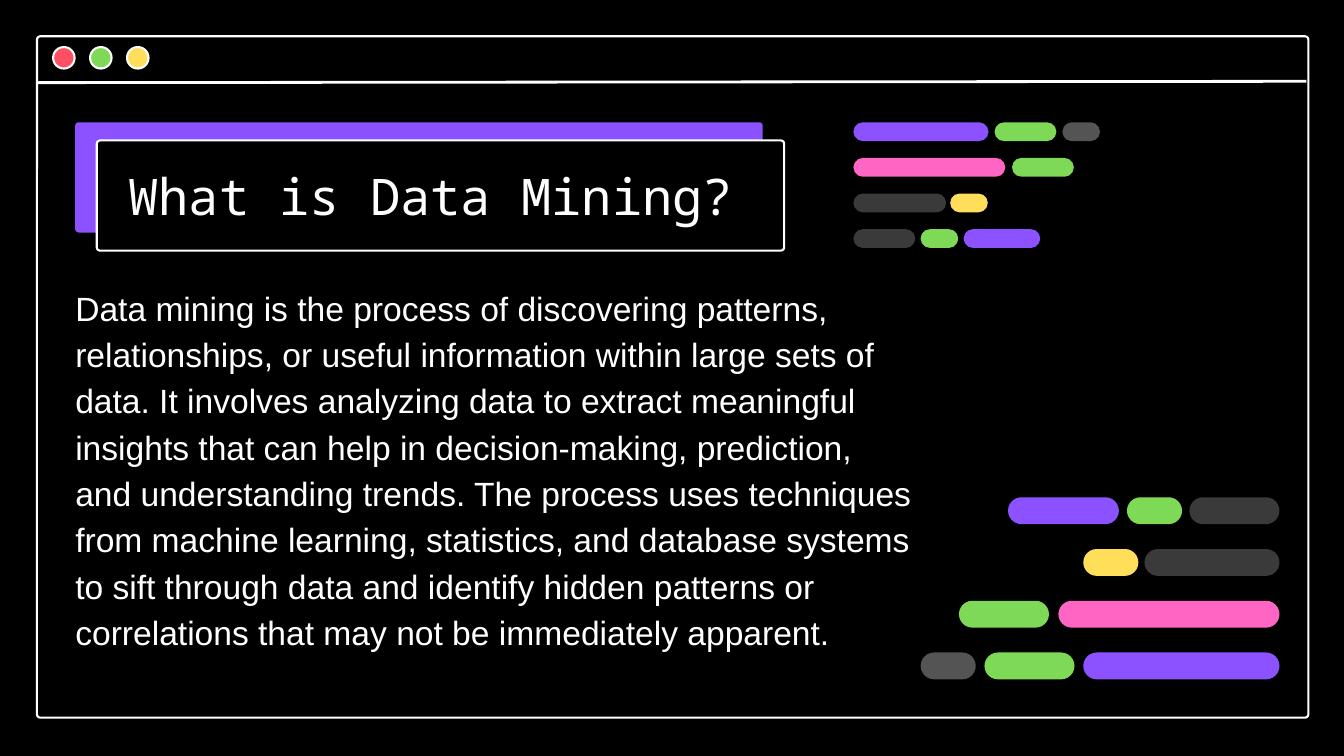
from pptx import Presentation
from pptx import util as u
from pptx.dml.color import RGBColor
from pptx.enum import shapes, text
from pptx.oxml.ns import qn
from lxml import etree

PX = 9144
BLACK = RGBColor(0x00, 0x00, 0x00)
WHITE = RGBColor(0xFF, 0xFF, 0xFF)
RED = RGBColor(0xFF, 0x4F, 0x63)
GREEN = RGBColor(0x7E, 0xD9, 0x57)
YELLOW = RGBColor(0xFF, 0xDE, 0x59)
PURPLE = RGBColor(0x8C, 0x52, 0xFF)
PINK = RGBColor(0xFF, 0x66, 0xC4)
DARK = RGBColor(0x3B, 0x3A, 0x3A)
GREY = RGBColor(0x54, 0x54, 0x54)

KIND = shapes.MSO_SHAPE
TITLE = "What is Data Mining?"
BODY = (
    "Data mining is the process of discovering patterns, relationships, or "
    "useful information within large sets of data. It involves analyzing data "
    "to extract meaningful insights that can help in decision-making, "
    "prediction, and understanding trends. The process uses techniques from "
    "machine learning, statistics, and database systems to sift through data "
    "and identify hidden patterns or correlations that may not be immediately "
    "apparent."
)
TOP_BARS = [
    [(1270, 201, PURPLE), (1480, 92, GREEN), (1581, 56, GREY)],
    [(1270, 226, PINK), (1506, 92, GREEN)],
    [(1270, 138, DARK), (1414, 56, YELLOW)],
    [(1270, 92, DARK), (1370, 56, GREEN), (1434, 114, PURPLE)],
]
LOW_BARS = [
    [(1500, 165, PURPLE), (1677, 82, GREEN), (1770, 134, DARK)],
    [(1612, 82, YELLOW), (1703, 201, DARK)],
    [(1427, 134, GREEN), (1575, 329, PINK)],
    [(1370, 82, GREY), (1465, 134, GREEN), (1612, 292, PURPLE)],
]


def px(*vals):
    """Turn px lengths into EMU."""
    return [u.Emu(v * PX) for v in vals]


def add_form(slide, kind, box, fill=None, line=None, radius=None):
    """Add a preset shape with an optional fill, outline and corner radius."""
    form = slide.shapes.add_shape(kind, *px(*box))
    form.shadow.inherit = False
    if radius is not None:
        form.adjustments[0] = radius / min(box[2:])
    if fill is None:
        form.fill.background()
    else:
        form.fill.solid()
        form.fill.fore_color.rgb = fill
    if line is None:
        form.line.fill.background()
    else:
        form.line.color.rgb = line
        form.line.width = u.Pt(2.25)


def add_rule(slide, start, end):
    """Add a white straight line."""
    rule = slide.shapes.add_connector(
        shapes.MSO_CONNECTOR.STRAIGHT, *px(*start, *end))
    rule.line.color.rgb = WHITE
    rule.line.width = u.Pt(3)
    etree.SubElement(rule.element.spPr, qn("a:effectLst"))


def add_text(slide, box, words, font, size, space):
    """Add a wrapped white text box without insets."""
    frame = slide.shapes.add_textbox(*px(*box)).text_frame
    frame.word_wrap = True
    frame.auto_size = text.MSO_AUTO_SIZE.SHAPE_TO_FIT_TEXT
    frame.margin_left = frame.margin_right = 0
    frame.margin_top = frame.margin_bottom = 0
    frame.text = words
    para = frame.paragraphs[0]
    para.line_spacing = space
    para.font.name = font
    para.font.size = u.Pt(size)
    para.font.color.rgb = WHITE


def add_bars(slide, rows, top, step, height):
    """Add rows of round-ended bars at an even vertical step."""
    for row, bars in enumerate(rows):
        for left, width, fill in bars:
            box = (left, top + row * step, width, height)
            add_form(slide, KIND.ROUNDED_RECTANGLE, box, fill,
                     radius=height / 2)


def add_window(slide):
    """Add the window frame, its title rule and its three buttons."""
    add_form(slide, KIND.ROUNDED_RECTANGLE, (55, 54, 1892, 1014),
             line=WHITE, radius=5)
    add_rule(slide, (55, 123), (1944, 121))
    for col, fill in enumerate((RED, GREEN, YELLOW)):
        add_form(slide, KIND.OVAL, (79 + col * 55, 70, 32, 32), fill, WHITE)


def main():
    """Build the slide and save it."""
    deck = Presentation()
    deck.slide_width, deck.slide_height = px(2000, 1125)
    slide = deck.slides.add_slide(deck.slide_layouts[6])
    slide.background.fill.solid()
    slide.background.fill.fore_color.rgb = BLACK

    add_window(slide)
    add_text(slide, (112, 419, 1249, 557), BODY, "Arial", 36, 1.15)
    add_bars(slide, LOW_BARS, 740, 77, 40)
    add_bars(slide, TOP_BARS, 182, 53, 28)
    add_form(slide, KIND.ROUNDED_RECTANGLE, (112, 182, 1023, 164), PURPLE,
             radius=5)
    add_form(slide, KIND.ROUNDED_RECTANGLE, (144, 209, 1023, 164), BLACK,
             WHITE, radius=5)
    add_text(slide, (191, 228, 967, 109), TITLE, "Noto Sans Mono", 54, 1.2)
    deck.save("out.pptx")


if __name__ == "__main__":
    main()
